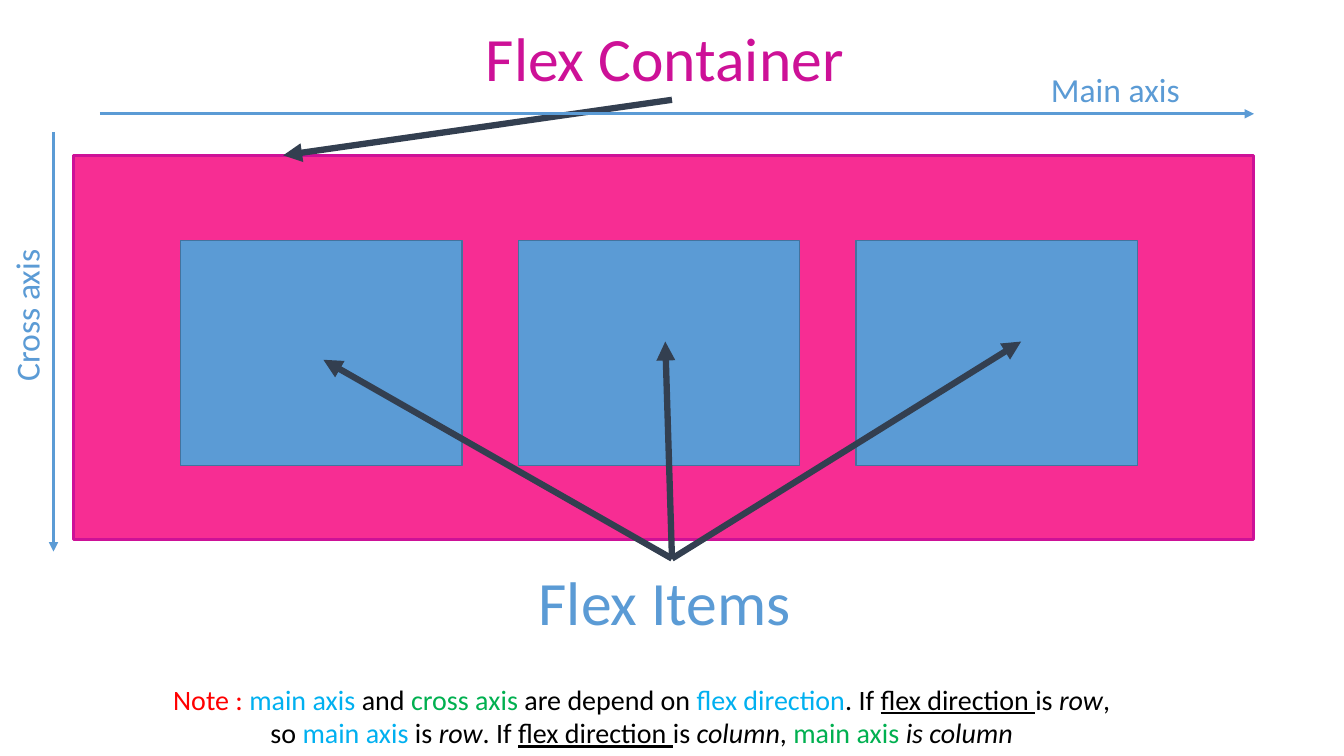
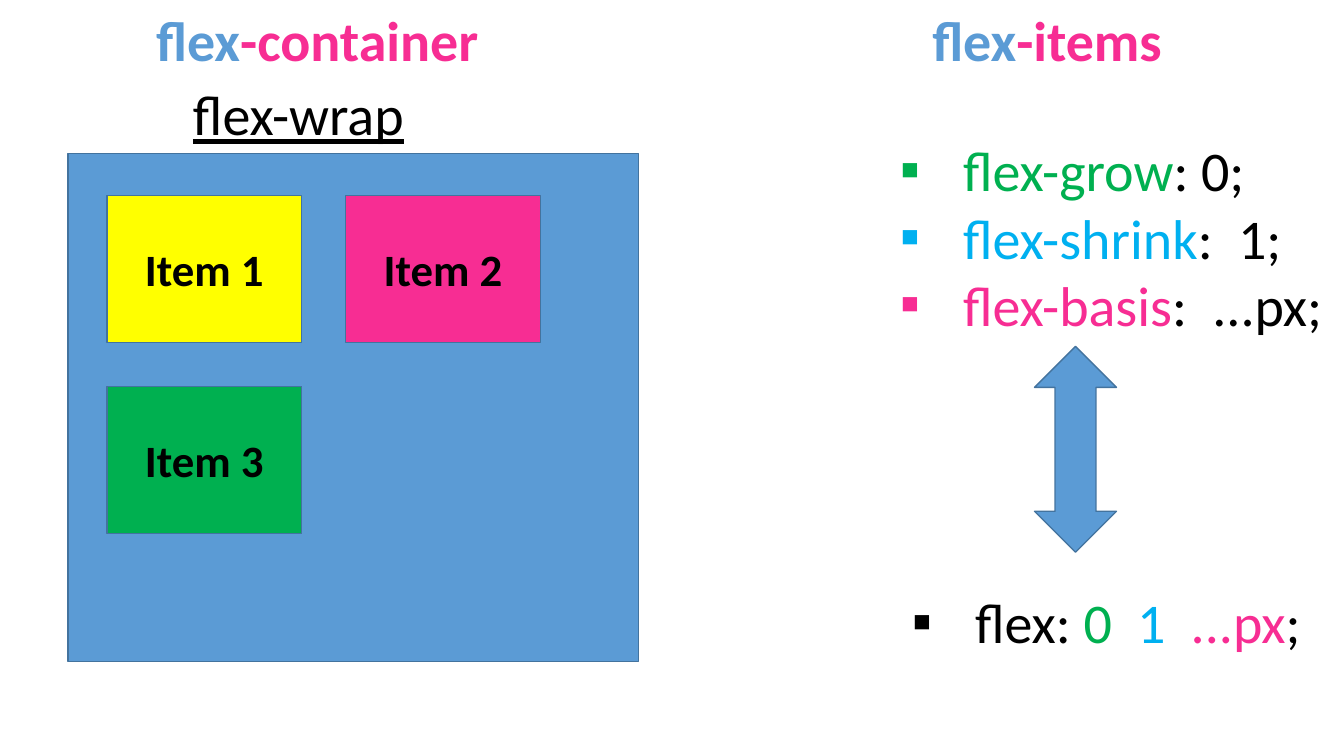
import pptx
import pptx.dml.color
import pptx.enum.shapes
import pptx.enum.text
import pptx.oxml.ns
import pptx.util
from lxml import etree

Pt = pptx.util.Pt
Align = pptx.enum.text.PP_ALIGN
Kind = pptx.enum.shapes.MSO_SHAPE
qn = pptx.oxml.ns.qn

FONT = "Calibri"
BLACK, RED, YELLOW = "000000", "FF0000", "FFFF00"
PINK, PLUM = "F72D93", "CD1197"
BLUE, EDGE, SKY = "5B9BD5", "43739E", "00B0F0"
GREEN, SLATE = "00B050", "333F50"


def paint(target, color):
    target.rgb = pptx.dml.color.RGBColor.from_string(color)


def fill(target, color):
    target.solid()
    paint(target.fore_color, color)


class Deck:
    def __init__(self):
        self.show = pptx.Presentation()
        self.show.slide_width = Pt(960)
        self.show.slide_height = Pt(540)
        self.slide = None

    def page(self):
        self.slide = self.show.slides.add_slide(self.show.slide_layouts[6])

    def shape(self, x, y, w, h, color, kind=Kind.RECTANGLE, edge=EDGE, width=1):
        box = self.slide.shapes.add_shape(kind, Pt(x), Pt(y), Pt(w), Pt(h))
        box.shadow.inherit = False
        fill(box.fill, color)
        fill(box.line.fill, edge)
        box.line.width = Pt(width)
        return box

    def arrow(self, start, end, color, width):
        ends = [Pt(n) for n in (*start, *end)]
        line = self.slide.shapes.add_connector(
            pptx.enum.shapes.MSO_CONNECTOR.STRAIGHT, *ends)
        fill(line.line.fill, color)
        line.line.width = Pt(width)
        props = line._element.spPr
        etree.SubElement(props.find(qn("a:ln")), qn("a:tailEnd"), type="triangle")
        etree.SubElement(props, qn("a:effectLst"))

    def label(self, para, runs, size, bold=False, align=Align.CENTER, mark=None):
        para.alignment = align
        if mark:
            props = para._p.get_or_add_pPr()
            props.set("marL", str(Pt(45)))
            props.set("indent", str(-Pt(45)))
            etree.SubElement(props, qn("a:buFont"), typeface=FONT)
            etree.SubElement(props, qn("a:buChar"), char=mark)
        para.font.name = FONT
        para.font.size = Pt(size)
        para.font.bold = bold
        colors = {color for _, color, *_ in runs}
        if len(colors) == 1:
            paint(para.font.color, *colors)
        for words, color, *style in runs:
            run = para.add_run()
            run.text = words
            if len(colors) > 1:
                paint(run.font.color, color)
            if "under" in style:
                run.font.underline = True
            if "slant" in style:
                run.font.italic = True
            if "wide" in style:
                run._r.get_or_add_rPr().set("spc", "900")

    def text(self, x, y, w, h, paras, size, turn=0, aligns=(Align.CENTER,), **style):
        box = self.slide.shapes.add_textbox(Pt(x), Pt(y), Pt(w), Pt(h))
        box.rotation = turn
        frame = box.text_frame
        frame.word_wrap = False
        frame.auto_size = pptx.enum.text.MSO_AUTO_SIZE.SHAPE_TO_FIT_TEXT
        for i, runs in enumerate(paras):
            para = frame.add_paragraph() if i else frame.paragraphs[0]
            self.label(para, runs, size, align=aligns[i % len(aligns)], **style)

    def item(self, x, y, words, color):
        box = self.shape(x, y, 139, 105, color)
        frame = box.text_frame
        frame.vertical_anchor = pptx.enum.text.MSO_ANCHOR.MIDDLE
        self.label(frame.paragraphs[0], [(words, BLACK)], 32, bold=True)


def draw_axes(deck):
    deck.page()
    deck.shape(52.5, 111, 843, 274.5, PINK, edge=PLUM, width=2.25)
    for i in range(3):
        deck.shape(129 + 241.2 * i, 172, 201, 160.5, BLUE)
    for tip in ((231, 257), (475.2, 244), (729.4, 244)):
        deck.arrow((480, 399), tip, SLATE, 4.5)
    deck.arrow((480, 71.3), (202.3, 111), SLATE, 4.5)
    deck.text(338.4, 10.8, 283, 60.5, [[("Flex Container ", PLUM)]], 44)
    deck.text(376.6, 399, 206.6, 60.5, [[("Flex Items ", BLUE)]], 44)
    deck.arrow((38.2, 94.5), (38.2, 394), BLUE, 2.25)
    deck.arrow((71.3, 81.3), (895.7, 81.3), BLUE, 2.25)
    deck.text(743, 46, 107.3, 36, [[("Main axis", BLUE)]], 24)
    deck.text(-36, 207.4, 109.4, 36, [[("Cross axis", BLUE)]], 24, turn=270)
    rule = [(". If ", BLACK), ("flex direction ", BLACK, "under"), ("is ", BLACK)]
    note = [
        [("Note : ", RED), ("main axis ", SKY), ("and ", BLACK),
         ("cross axis ", GREEN), ("are depend on ", BLACK),
         ("flex direction", SKY), *rule, ("row", BLACK, "slant"), (",", BLACK)],
        [("so ", BLACK), ("main axis ", SKY), ("is ", BLACK),
         ("row", BLACK, "slant"), *rule, ("column", BLACK, "slant"),
         (", ", BLACK), ("main axis ", GREEN), ("is column", BLACK, "slant")],
    ]
    deck.text(116.6, 483.8, 694.8, 55.7, note, 20,
              aligns=(Align.LEFT, Align.CENTER))


def draw_wrap(deck):
    deck.page()
    for x, w, name in ((103, 256.3, "-container "), (657.4, 190, "-items ")):
        deck.text(x, 0.7, w, 55.7, [[("flex", BLUE), (name, PINK)]], 40, bold=True)
    deck.text(128.9, 53.3, 168.5, 55.7, [[("flex-wrap", BLACK, "under")]], 40)
    deck.shape(48.5, 109.5, 407.5, 363, BLUE)
    for i, color in enumerate((YELLOW, PINK, GREEN)):
        row, col = divmod(i, 2)
        deck.item(76.5 + 170.5 * col, 139.5 + 136.5 * row, f"Item {i + 1}", color)
    gap = (" ", BLACK, "wide")
    props = [
        [("flex-grow", GREEN), (": 0;", BLACK)],
        [("flex-shrink", SKY), (":", BLACK), gap, ("1;", BLACK)],
        [("flex-basis", PINK), (":", BLACK), gap, ("...px;", BLACK)],
    ]
    short = [("flex: ", BLACK), ("0", GREEN), gap, ("1", SKY), gap,
             ("...px", PINK), (";", BLACK)]
    bullets = {"aligns": (Align.LEFT,), "mark": "▪"}
    deck.text(635.8, 93.6, 320.4, 152.6, props, 40, **bullets)
    deck.shape(739, 247.5, 58.5, 147, BLUE, kind=Kind.UP_DOWN_ARROW)
    deck.text(644.4, 416.2, 304.6, 55.7, [short], 40, **bullets)


def main():
    deck = Deck()
    draw_axes(deck)
    draw_wrap(deck)
    deck.show.save("out.pptx")


if __name__ == "__main__":
    main()
